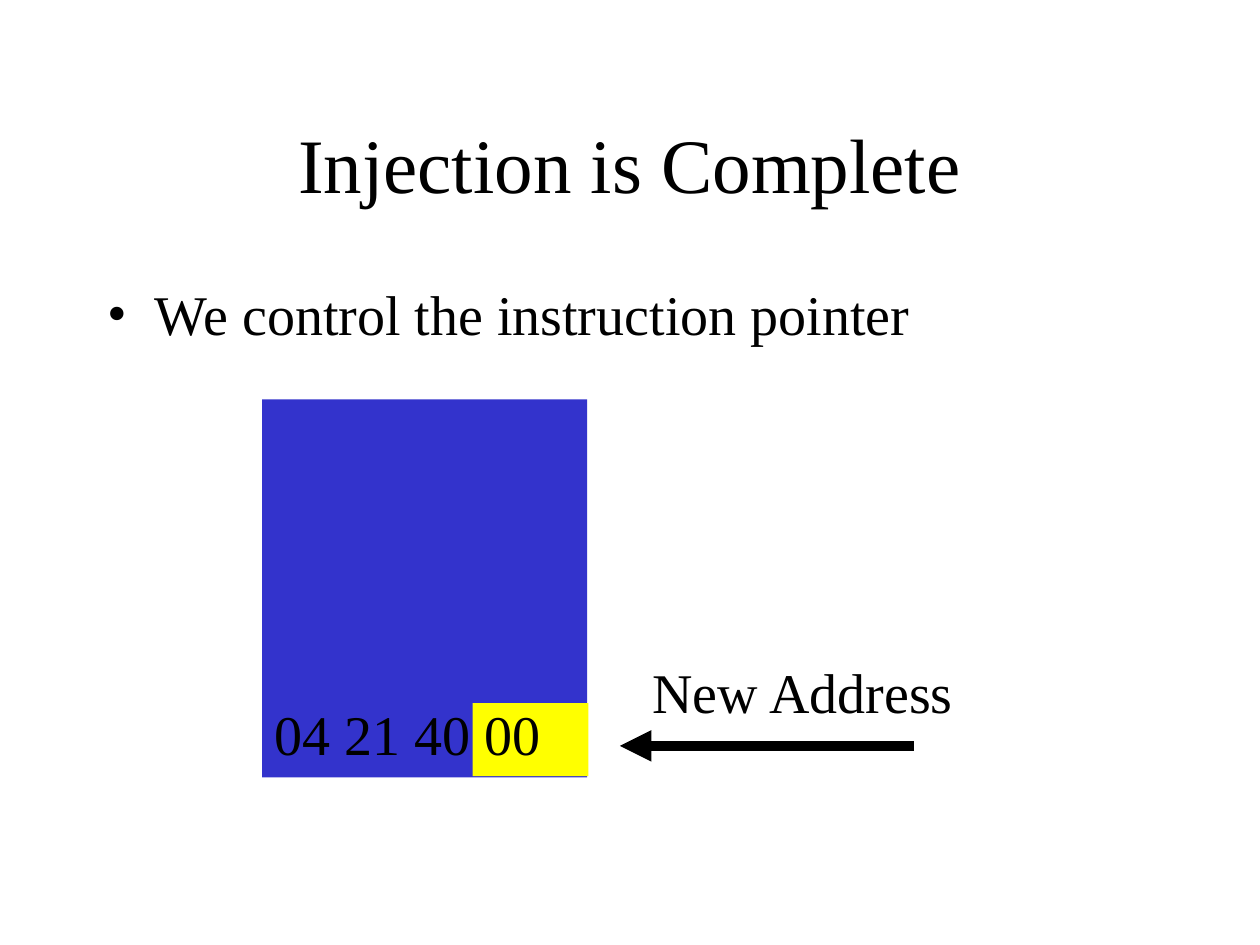
from lxml import etree
from pptx import Presentation
from pptx.dml.color import RGBColor
from pptx.enum.shapes import MSO_CONNECTOR, MSO_SHAPE
from pptx.enum.text import MSO_ANCHOR, MSO_AUTO_SIZE, PP_ALIGN
from pptx.oxml.ns import qn
from pptx.util import Inches, Pt

BLACK = RGBColor(0x00, 0x00, 0x00)
BLUE = RGBColor(0x33, 0x33, 0xCC)
YELLOW = RGBColor(0xFF, 0xFF, 0x00)
FONT = "Times New Roman"

STRAIGHT = MSO_CONNECTOR.STRAIGHT
RECTANGLE = MSO_SHAPE.RECTANGLE
TOP, MIDDLE = MSO_ANCHOR.TOP, MSO_ANCHOR.MIDDLE
LEFT, CENTER = PP_ALIGN.LEFT, PP_ALIGN.CENTER
FIXED, GROW = MSO_AUTO_SIZE.NONE, MSO_AUTO_SIZE.SHAPE_TO_FIT_TEXT


def place(shape, left, top, width, height):
    shape.left, shape.top = Inches(left), Inches(top)
    shape.width, shape.height = Inches(width), Inches(height)


def write_text(shape, text, size=32, align=LEFT, anchor=TOP, before=0,
               auto_size=FIXED):
    frame = shape.text_frame
    frame.word_wrap = True
    frame.auto_size = auto_size
    frame.vertical_anchor = anchor
    paragraph = frame.paragraphs[0]
    paragraph.alignment = align
    paragraph.space_before = Pt(before)
    run = paragraph.add_run()
    run.text = text
    run.font.name = FONT
    run.font.size = Pt(size)
    run.font.color.rgb = BLACK
    return paragraph


def add_bullet(paragraph, indent):
    properties = paragraph._p.get_or_add_pPr()
    properties.set("marL", str(Inches(indent)))
    properties.set("indent", str(-Inches(indent)))
    etree.SubElement(properties, qn("a:buFont"), typeface=FONT)
    etree.SubElement(properties, qn("a:buChar"), char="•")


def add_block(slide, left, top, width, height, color):
    block = slide.shapes.add_shape(
        RECTANGLE, Inches(left), Inches(top), Inches(width), Inches(height))
    block.shadow.inherit = False
    block.fill.solid()
    block.fill.fore_color.rgb = color
    block.line.fill.background()


def add_label(slide, text, left, top, width):
    label = slide.shapes.add_textbox(
        Inches(left), Inches(top), Inches(width), Inches(0.64))
    write_text(label, text, before=20, auto_size=GROW)


def add_arrow(slide, start_x, end_x, y):
    arrow = slide.shapes.add_connector(
        STRAIGHT, Inches(start_x), Inches(y), Inches(end_x), Inches(y))
    arrow.line.color.rgb = BLACK
    arrow.line.width = Pt(6)
    etree.SubElement(arrow.line._get_or_add_ln(), qn("a:tailEnd"), type="triangle")
    etree.SubElement(arrow._element.spPr, qn("a:effectLst"))


def main():
    presentation = Presentation()
    presentation.slide_width = Inches(10)
    presentation.slide_height = Inches(7.5)
    slide = presentation.slides.add_slide(presentation.slide_layouts[1])

    title, body = slide.placeholders
    place(title, 0.75, 0.67, 8.5, 1.25)
    write_text(title, "Injection is Complete", size=44, align=CENTER, anchor=MIDDLE)
    place(body, 0.75, 2.17, 8.5, 4.5)
    add_bullet(write_text(body, "We control the instruction pointer", before=8), 0.38)

    add_block(slide, 2.08, 3.17, 2.58, 3, BLUE)
    add_block(slide, 3.75, 5.58, 0.92, 0.58, YELLOW)
    add_label(slide, "04 21 40 00", 2.08, 5.5, 2.58)
    add_arrow(slide, 7.25, 4.92, 5.92)
    add_label(slide, "New Address", 5.08, 5.17, 4)

    presentation.save("out.pptx")


if __name__ == "__main__":
    main()
